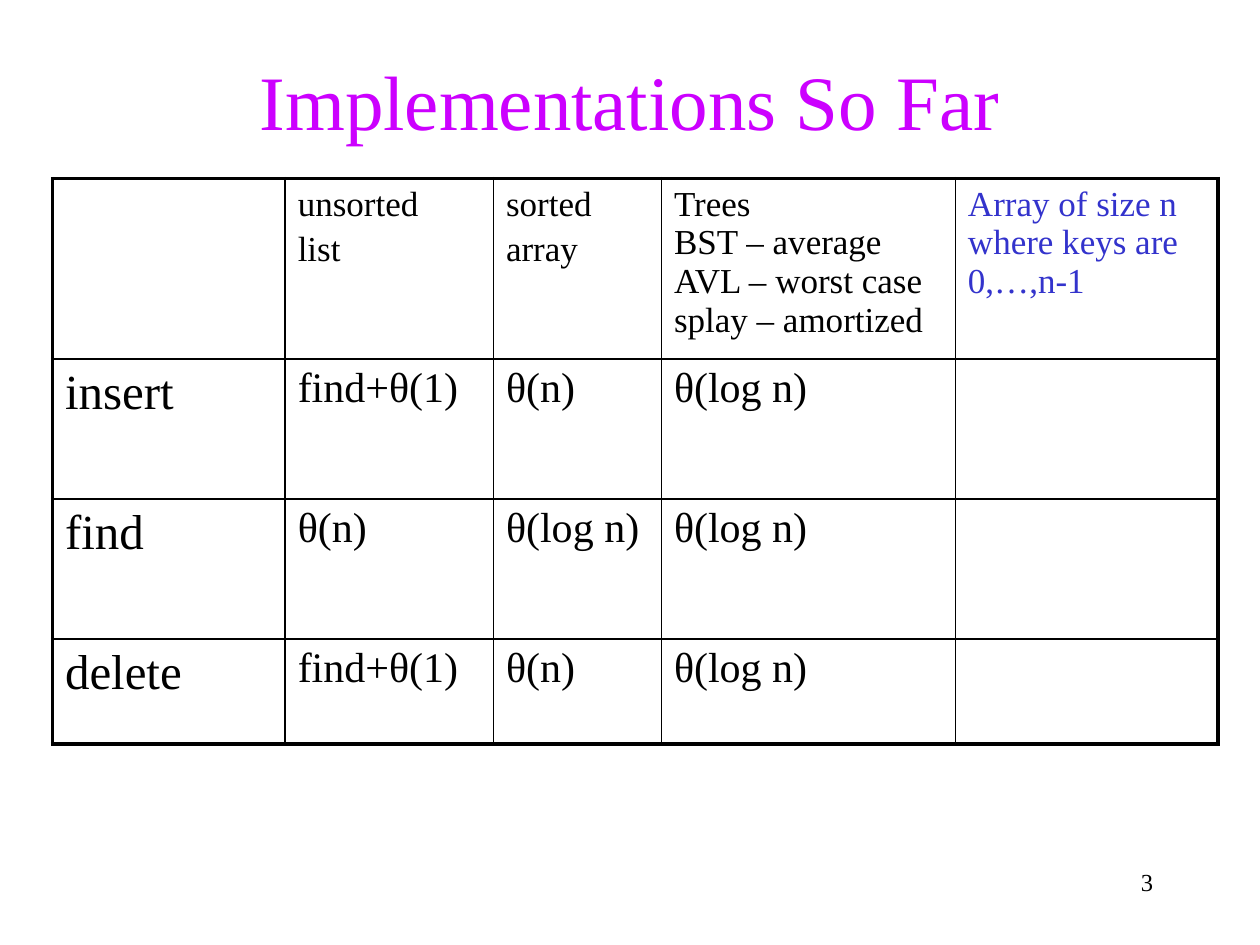
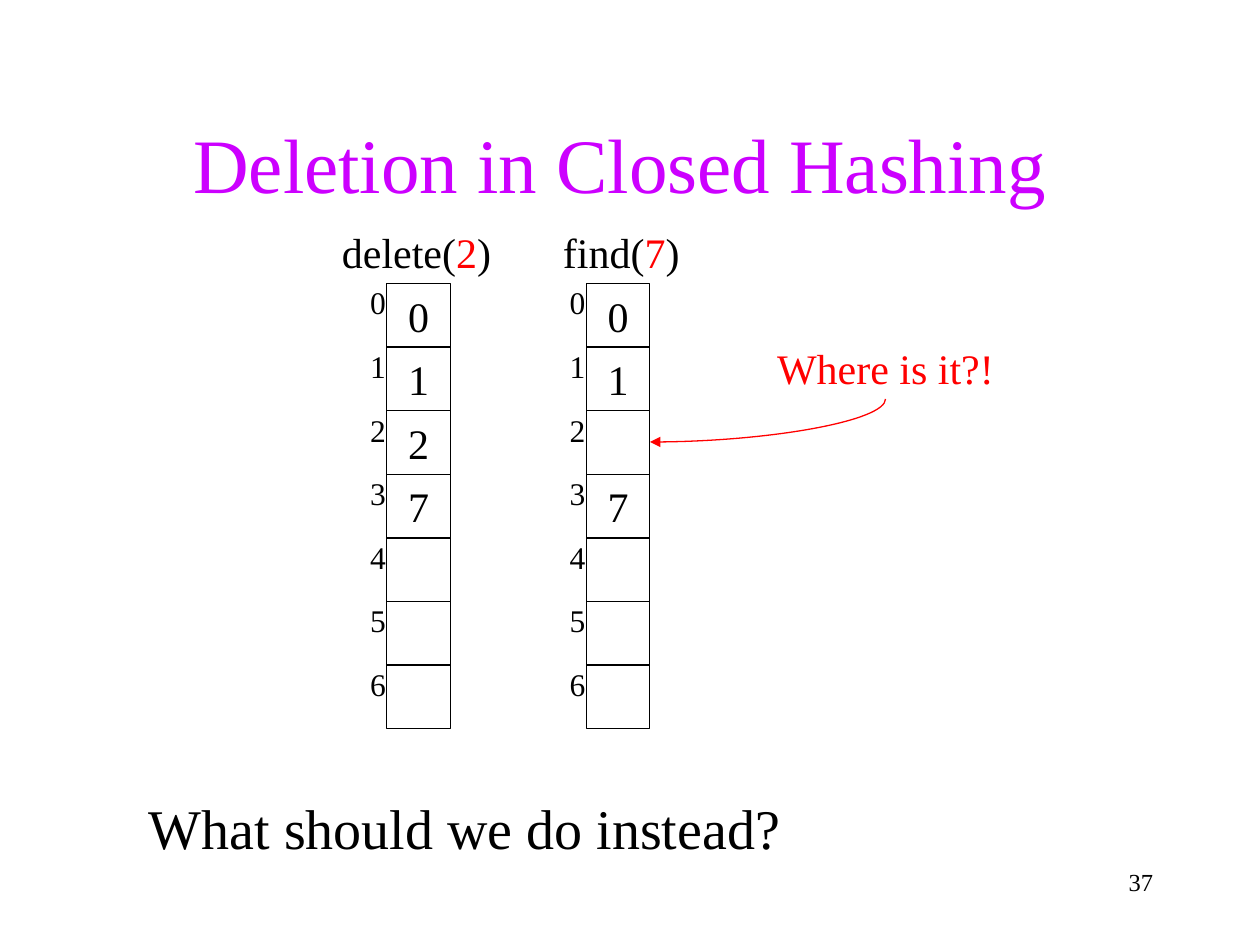
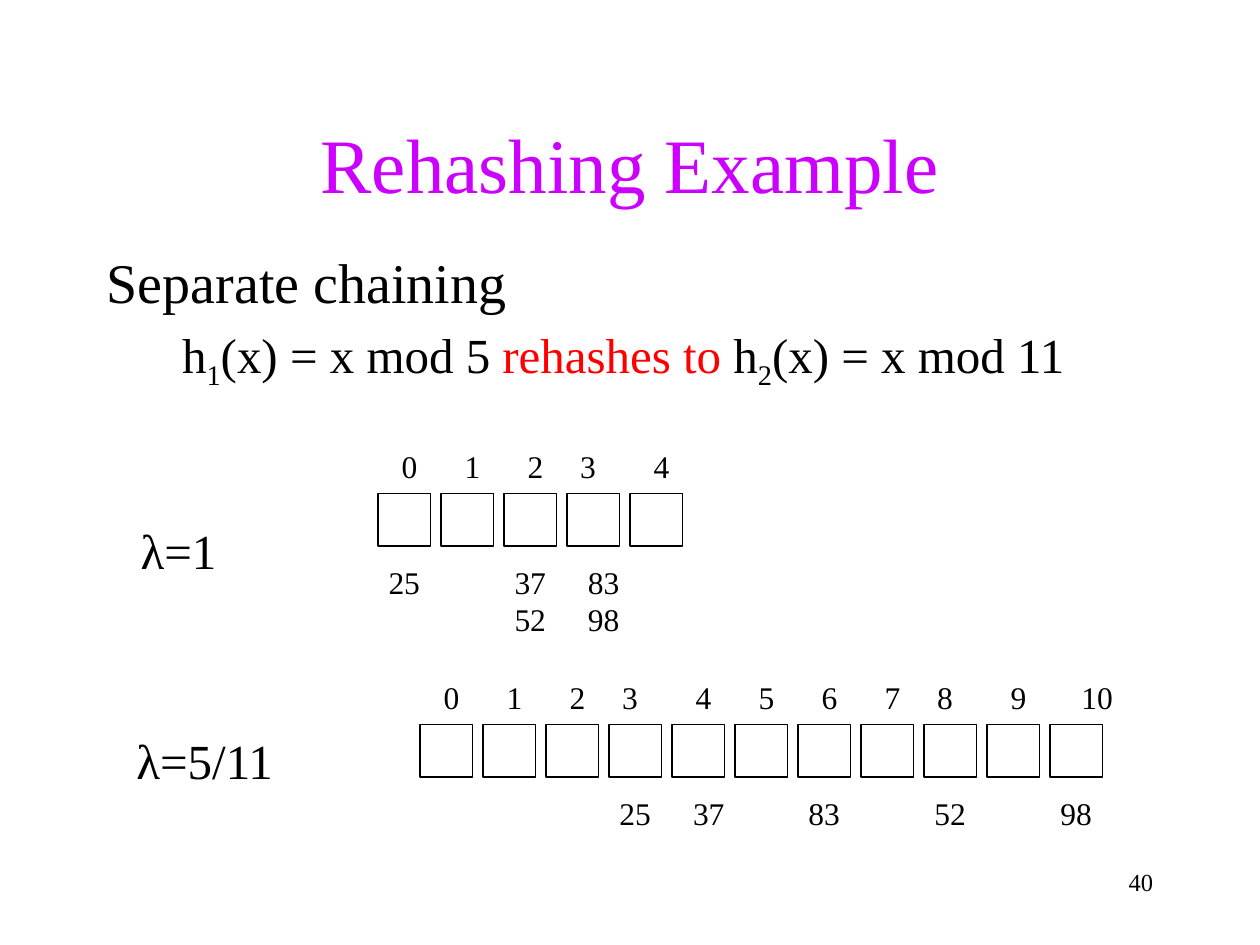
from dataclasses import dataclass

from lxml import etree
from pptx import Presentation
from pptx import util as u
from pptx.dml.color import RGBColor
from pptx.enum import shapes, text
from pptx.oxml import ns

Pt = u.Pt
LEFT, CENTER, RIGHT = text.PP_ALIGN.LEFT, text.PP_ALIGN.CENTER, text.PP_ALIGN.RIGHT


@dataclass(frozen=True)
class Theme:
    font: str = "Times New Roman"
    ink: str = "000000"
    title: str = "CC00FF"
    alert: str = "FF0000"
    accent: str = "3333CC"
    title_size: float = 44
    body_size: float = 32
    formula_size: float = 28
    label_size: float = 24
    header_size: float = 20
    index_size: float = 18
    number_size: float = 14
    thin: float = 0.75
    rule: float = 1
    frame: float = 2.25


THEME = Theme()


def style_font(font, size, color):
    values = {"name": THEME.font, "size": Pt(size)}
    for name, value in values.items():
        setattr(font, name, value)
    font.color.rgb = RGBColor.from_string(color)


def add_span(para, words, size, color=THEME.ink, baseline=0):
    for row, line in enumerate(words.split("\n")):
        if row:
            para.add_line_break()
        span = para.add_run()
        span.text = line
        style_font(span.font, size, color)
        if baseline:
            span.font._element.set("baseline", str(baseline * 1000))


def fill_frame(frame, paras, size, align=LEFT, before=0):
    for row, spans in enumerate(paras):
        para = frame.paragraphs[0] if row == 0 else frame.add_paragraph()
        values = {"alignment": align, "space_before": Pt(before)}
        for name, value in values.items():
            setattr(para, name, value)
        for words, *changes in spans:
            add_span(para, words, **{"size": size, **(changes[0] if changes else {})})


def add_text(parent, area, paras, size, align=LEFT, wrap=True, before=0,
             anchor=text.MSO_ANCHOR.TOP):
    box = parent.shapes.add_textbox(*map(Pt, area))
    values = {"word_wrap": wrap, "vertical_anchor": anchor}
    for name, value in values.items():
        setattr(box.text_frame, name, value)
    fill_frame(box.text_frame, paras, size, align, before)
    return box


def add_label(parent, area, spans, size, wrap=True):
    box = add_text(parent, area, [spans], size, CENTER, wrap)
    box.text_frame.auto_size = text.MSO_AUTO_SIZE.SHAPE_TO_FIT_TEXT


def add_slot(parent, area, line_width, value=""):
    slot = parent.shapes.add_shape(shapes.MSO_SHAPE.RECTANGLE, *map(Pt, area))
    slot.shadow.inherit = False
    slot.fill.background()
    slot.line.color.rgb = RGBColor.from_string(THEME.ink)
    slot.line.width = Pt(line_width)
    if value:
        values = {"word_wrap": False, "vertical_anchor": text.MSO_ANCHOR.MIDDLE}
        for name, setting in values.items():
            setattr(slot.text_frame, name, setting)
        fill_frame(slot.text_frame, [[(value,)]], THEME.label_size, CENTER)


def add_page(deck, title, number, title_top=48):
    page = deck.slides.add_slide(deck.slide_layouts[6])
    add_text(page, (54, title_top, 612, 90), [[(title, {"color": THEME.title})]],
             THEME.title_size, CENTER, anchor=text.MSO_ANCHOR.MIDDLE)
    add_text(page, (516, 492, 150, 36), [[(number,)]], THEME.number_size, RIGHT)
    return page


def set_borders(cell, widths):
    props = cell._tc.get_or_add_tcPr()
    for side, width in widths.items():
        line = etree.SubElement(props, ns.qn(f"a:ln{side}"), w=str(Pt(width)))
        fill = etree.SubElement(line, ns.qn("a:solidFill"))
        etree.SubElement(fill, ns.qn("a:srgbClr"), val=THEME.ink)
    cell.fill.background()


def add_grid(page, left, top, widths, heights, rows):
    area = (left, top, sum(widths), sum(heights))
    table = page.shapes.add_table(len(rows), len(widths), *map(Pt, area)).table
    for name in ("first_row", "horz_banding"):
        setattr(table, name, False)
    for column, width in zip(table.columns, widths):
        column.width = Pt(width)
    for row, height in zip(table.rows, heights):
        row.height = Pt(height)
    last_row, last_column = len(rows) - 1, len(widths) - 1
    for r, row in enumerate(rows):
        for c, paras in enumerate(row):
            cell = table.cell(r, c)
            outer = {"L": c == 0, "R": c == last_column, "T": r == 0, "B": r == last_row}
            set_borders(cell, {side: THEME.frame if edge else THEME.rule
                               for side, edge in outer.items()})
            if r == 0:
                size = THEME.header_size
            else:
                size = THEME.formula_size if c == 0 else THEME.label_size
            fill_frame(cell.text_frame, paras, size, before=4)


def add_curved_arrow(page, start, end, color):
    (start_x, start_y), (end_x, end_y) = start, end
    center_x, center_y = (start_x + end_x) / 2, (start_y + end_y) / 2
    half_width, half_height = abs(end_y - start_y) / 2, abs(end_x - start_x) / 2
    corners = (center_x - half_width, center_y - half_height,
               center_x + half_width, center_y + half_height)
    arrow = page.shapes.add_connector(shapes.MSO_CONNECTOR.CURVE, *map(Pt, corners))
    arrow.line.color.rgb = RGBColor.from_string(color)
    arrow.line.width = Pt(THEME.thin)
    props = arrow._element.spPr
    props.find(ns.qn("a:xfrm")).set("rot", "5400000")
    props.find(ns.qn("a:prstGeom")).set("prst", "curvedConnector2")
    etree.SubElement(props.find(ns.qn("a:ln")), ns.qn("a:tailEnd"), type="triangle")
    etree.SubElement(props, ns.qn("a:effectLst"))


def add_hash_column(page, left, label_center, operation, key, values):
    group = page.shapes.add_group_shape()
    top, side = 162, 36.35
    for index, value in enumerate(values):
        slot_top = top + index * side
        add_slot(group, (left, slot_top, side, side), THEME.thin, value)
        add_label(group, (left - 17, slot_top - 3.6, 24, 28.8), [(str(index),)],
                  THEME.index_size, wrap=False)
    spans = [(f"{operation}(",), (key, {"color": THEME.alert}), (")",)]
    add_label(group, (label_center - 52, 126, 104, 36), spans, THEME.label_size, wrap=False)


def add_chained_row(page, left, top, count, chains, nudged_chain):
    for index in range(count):
        slot_left = left + index * 36
        add_slot(page, (slot_left, top, 30, 30), THEME.rule)
        index_left = slot_left + (0 if index in (3, 8) else 6)
        add_label(page, (index_left, top - 30, 24 if index < 10 else 42, 28.8),
                  [(str(index),)], THEME.index_size)
    for index, keys in chains.items():
        chain_left = left + index * 36 - (6 if index == nudged_chain else 12)
        height = 28.8 + 21.6 * keys.count("\n")
        add_label(page, (chain_left, top + 36, 54, height), [(keys,)], THEME.index_size)


def build_implementations(deck):
    page = add_page(deck, "Implementations So Far", "3", title_top=12)
    header = [
        [],
        [[("unsorted",)], [("list",)]],
        [[("sorted",)], [("array",)]],
        [[("Trees\nBST – average\nAVL – worst case\nsplay – amortized",)]],
        [[("Array of size n where keys are 0,…,n-1", {"color": THEME.accent})]],
    ]
    costs = [
        ("insert", "find+θ(1)", "θ(n)", "θ(log n)"),
        ("find", "θ(n)", "θ(log n)", "θ(log n)"),
        ("delete", "find+θ(1)", "θ(n)", "θ(log n)"),
    ]
    rows = [header] + [[[[(cost,)]] for cost in row] + [[]] for row in costs]
    add_grid(page, 30, 102, (133, 119, 96, 168, 150), (80, 80, 80, 60), rows)


def build_deletion(deck):
    page = add_page(deck, "Deletion in Closed Hashing ", "37")
    add_hash_column(page, 221, 238, "delete", "2", ("0", "1", "2", "7", "", "", ""))
    add_hash_column(page, 335, 355, "find", "7", ("0", "1", "", "7", "", "", ""))
    add_label(page, (431, 192, 150, 36), [("Where is it?!", {"color": THEME.alert})],
              THEME.label_size, wrap=False)
    add_curved_arrow(page, (506, 228), (371.4, 252.6), THEME.alert)
    add_text(page, (78, 450, 462, 66), [[("What should we do instead?",)]], THEME.body_size)


def build_rehashing(deck):
    page = add_page(deck, "Rehashing Example", "40")
    subscript = {"baseline": -25}
    formula = [(" h",), ("1", subscript), ("(x) = x mod 5 ",),
               ("rehashes to", {"color": THEME.alert}),
               (" h",), ("2", subscript), ("(x) = x mod 11",)]
    heading = [("Separate chaining", {"size": THEME.body_size})]
    box = add_text(page, (54, 138, 612, 114), [heading, formula],
                   THEME.formula_size, before=5.6)
    props = box.text_frame.paragraphs[1]._p.get_or_add_pPr()
    for name, value in {"marL": 58.5, "indent": -22.5}.items():
        props.set(name, str(Pt(value)))
    add_label(page, (60, 294, 84, 41), [("λ=1",)], THEME.formula_size)
    add_label(page, (66, 414, 102, 41), [("λ=5/11",)], THEME.formula_size)
    add_chained_row(page, 216, 282, 5, {0: "25", 2: "37\n52", 3: "83\n98"}, 3)
    add_chained_row(page, 240, 414, 11,
                    {3: "25", 4: "37", 6: "83", 8: "52", 10: "98"}, 4)


def main():
    deck = Presentation()
    deck.slide_width, deck.slide_height = Pt(720), Pt(540)
    for build in (build_implementations, build_deletion, build_rehashing):
        build(deck)
    deck.save("out.pptx")


if __name__ == "__main__":
    main()
